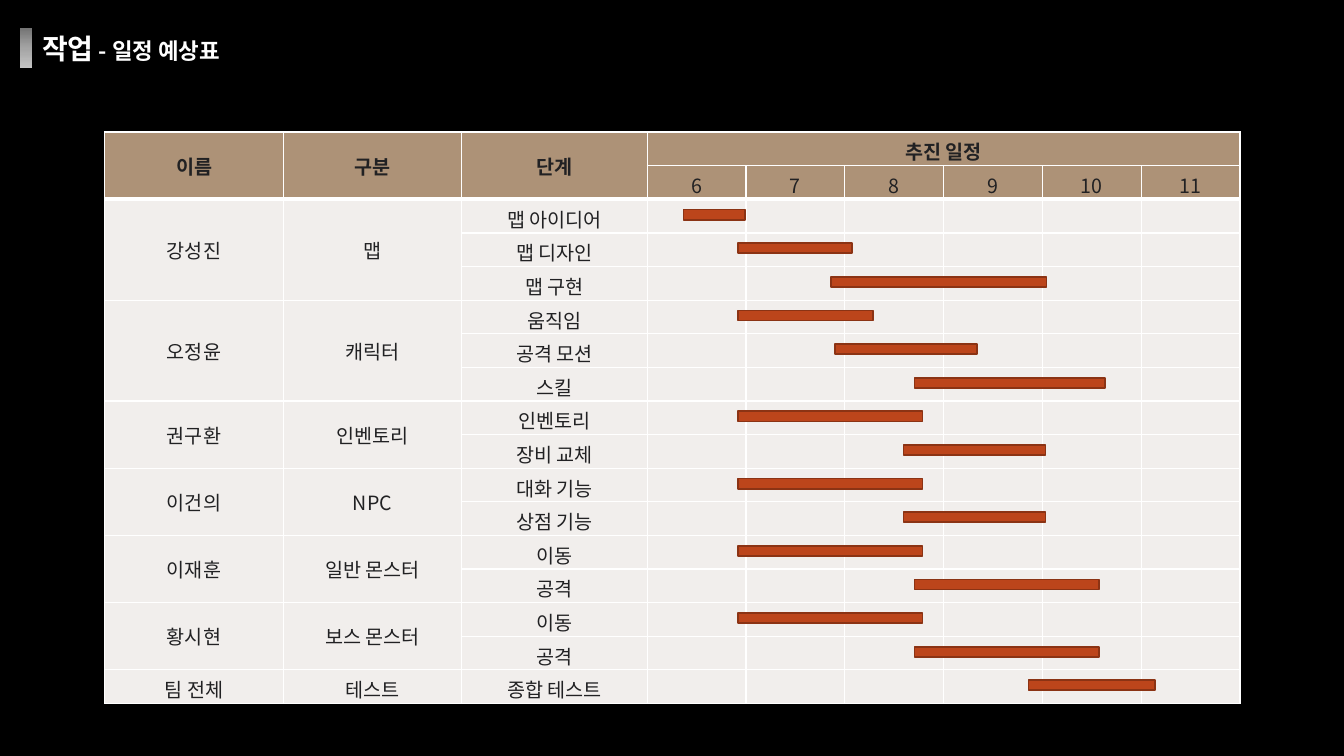
from dataclasses import dataclass

from lxml import etree
from pptx import Presentation, util as u
from pptx.dml.color import RGBColor
from pptx.enum import shapes, text
from pptx.oxml.ns import qn

FONT = "Noto Sans CJK KR"
WHITE, INK, TAN, PALE = "FFFFFF", "212123", "AD9277", "F1EEEC"
BAR_FILL, BAR_LINE = "BC451B", "8B3314"
TABLE_LEFT, TABLE_TOP = 1.04, 1.31
HEADINGS = ["이름", "구분", "단계"]
MONTHS = ["6", "7", "8", "9", "10", "11"]
COLUMN_WIDTHS = [1.77, 1.77, 1.84] + [0.98] * len(MONTHS)
HEADER_ROWS = 2
ROW_HEIGHT = 5.67 / 17
FIRST_BAR_TOP, BAR_HEIGHT = 2.08, 0.1


@dataclass
class Task:
    stage: str
    start: float
    length: float


@dataclass
class Assignment:
    owner: str
    area: str
    tasks: list[Task]


ASSIGNMENTS = [
    Assignment("강성진", "맵", [Task("맵 아이디어", 6.78, 0.61), Task("맵 디자인", 7.32, 1.13),
                             Task("맵 구현", 8.24, 2.14)]),
    Assignment("오정윤", "캐릭터", [Task("움직임", 7.32, 1.34), Task("공격 모션", 8.28, 1.41),
                               Task("스킬", 9.07, 1.89)]),
    Assignment("권구환", "인벤토리", [Task("인벤토리", 7.32, 1.83), Task("장비 교체", 8.96, 1.41)]),
    Assignment("이건의", "NPC", [Task("대화 기능", 7.32, 1.83), Task("상점 기능", 8.96, 1.41)]),
    Assignment("이재훈", "일반 몬스터", [Task("이동", 7.32, 1.83), Task("공격", 9.07, 1.83)]),
    Assignment("황시현", "보스 몬스터", [Task("이동", 7.32, 1.83), Task("공격", 9.07, 1.83)]),
    Assignment("팀 전체", "테스트", [Task("종합 테스트", 10.2, 1.26)]),
]
TASKS = [task for assignment in ASSIGNMENTS for task in assignment.tasks]


def color(value: str) -> RGBColor:
    return RGBColor.from_string(value)


def add_span(para, words: str, size: float, ink: str, bold: bool) -> None:
    span = para.add_run()
    span.text = words
    formats = {"name": FONT, "size": u.Pt(size), "bold": bold}
    for name, value in formats.items():
        setattr(span.font, name, value)
    span.font.color.rgb = color(ink)
    etree.SubElement(span._r.get_or_add_rPr(), qn("a:ea"), typeface=FONT)


def add_rectangle(parent, left: float, top: float, width: float, height: float):
    box = parent.add_shape(shapes.MSO_SHAPE.RECTANGLE, u.Inches(left), u.Inches(top),
                           u.Inches(width), u.Inches(height))
    box.shadow.inherit = False
    return box


def add_heading(page) -> None:
    marker = add_rectangle(page.shapes, 0.2, 0.28, 0.12, 0.4)
    marker.line.fill.background()
    marker.fill.gradient()
    marker.fill.gradient_angle = 270
    stop_list = marker.element.spPr.find(qn("a:gradFill")).find(qn("a:gsLst"))
    for stop in list(stop_list):
        stop_list.remove(stop)
    for position, shade in [(0, "747474"), (50, "A5A5A5"), (100, "C4C4C4")]:
        stop = etree.SubElement(stop_list, qn("a:gs"), pos=str(position * 1000))
        etree.SubElement(stop, qn("a:srgbClr"), val=shade)

    title = page.shapes.add_textbox(u.Inches(0.32), u.Inches(0.26), u.Inches(2.23), u.Inches(0.44))
    title.text_frame.word_wrap = False
    title.text_frame.auto_size = text.MSO_AUTO_SIZE.SHAPE_TO_FIT_TEXT
    para = title.text_frame.paragraphs[0]
    add_span(para, "작업", 20, WHITE, True)
    add_span(para, " - 일정 예상표", 16, WHITE, True)


def style_cell(cell, fill: str, top: float = 1, bottom: float = 1) -> None:
    """Give the cell white borders, a fill and the text size that sets its least height."""
    properties = cell._tc.get_or_add_tcPr()
    for side, points in {"L": 1, "R": 1, "T": top, "B": bottom}.items():
        line = etree.SubElement(properties, qn(f"a:ln{side}"), w=str(u.Pt(points)))
        solid = etree.SubElement(line, qn("a:solidFill"))
        etree.SubElement(solid, qn("a:srgbClr"), val=WHITE)
    cell.fill.solid()
    cell.fill.fore_color.rgb = color(fill)
    cell.vertical_anchor = text.MSO_ANCHOR.MIDDLE
    cell.margin_bottom = 0
    etree.SubElement(cell.text_frame.paragraphs[0]._p, qn("a:endParaRPr"), sz="1400")


def fill_cell(table, row: int, column: int, words: str, bold: bool = False,
              rows: int = 1, columns: int = 1) -> None:
    cell = table.cell(row, column)
    if rows > 1 or columns > 1:
        cell.merge(table.cell(row + rows - 1, column + columns - 1))
    if rows > 1:
        cell.margin_bottom = u.Inches(0.05)
    para = cell.text_frame.paragraphs[0]
    para.alignment = text.PP_ALIGN.CENTER
    add_span(para, words, 14, INK, bold)


def add_schedule(page) -> None:
    row_count = HEADER_ROWS + len(TASKS)
    frame = page.shapes.add_table(row_count, len(COLUMN_WIDTHS), u.Inches(TABLE_LEFT),
                                  u.Inches(TABLE_TOP), u.Inches(sum(COLUMN_WIDTHS)),
                                  u.Inches(ROW_HEIGHT * row_count))
    table = frame.table
    table.first_row = table.horz_banding = False
    for column, width in zip(table.columns, COLUMN_WIDTHS):
        column.width = u.Inches(width)
    for index, row in enumerate(table.rows):
        row.height = u.Inches(ROW_HEIGHT)
        for column, cell in enumerate(row.cells):
            above_body = index == 1 or (index == 0 and column < len(HEADINGS))
            style_cell(cell, TAN if index < HEADER_ROWS else PALE,
                       top=3 if index == HEADER_ROWS else 1, bottom=3 if above_body else 1)

    for column, heading in enumerate(HEADINGS):
        fill_cell(table, 0, column, heading, bold=True, rows=HEADER_ROWS)
    fill_cell(table, 0, len(HEADINGS), "추진 일정", bold=True, columns=len(MONTHS))
    for column, month in enumerate(MONTHS, len(HEADINGS)):
        fill_cell(table, 1, column, month)

    row = HEADER_ROWS
    for assignment in ASSIGNMENTS:
        height = len(assignment.tasks)
        fill_cell(table, row, 0, assignment.owner, rows=height)
        fill_cell(table, row, 1, assignment.area, rows=height)
        for offset, task in enumerate(assignment.tasks):
            fill_cell(table, row + offset, 2, task.stage)
        row += height


def add_bars(page) -> None:
    group = page.shapes.add_group_shape()
    for index, task in enumerate(TASKS):
        bar = add_rectangle(group.shapes, task.start, FIRST_BAR_TOP + index * ROW_HEIGHT,
                            task.length, BAR_HEIGHT)
        bar.fill.solid()
        bar.fill.fore_color.rgb = color(BAR_FILL)
        bar.line.color.rgb = color(BAR_LINE)
        bar.line.width = u.Pt(1.25)


def main() -> None:
    deck = Presentation()
    deck.slide_width, deck.slide_height = u.Inches(13.33), u.Inches(7.5)
    page = deck.slides.add_slide(deck.slide_layouts[6])
    page.background.fill.solid()
    page.background.fill.fore_color.rgb = color("000000")
    add_heading(page)
    add_schedule(page)
    add_bars(page)
    deck.save("out.pptx")


if __name__ == "__main__":
    main()
